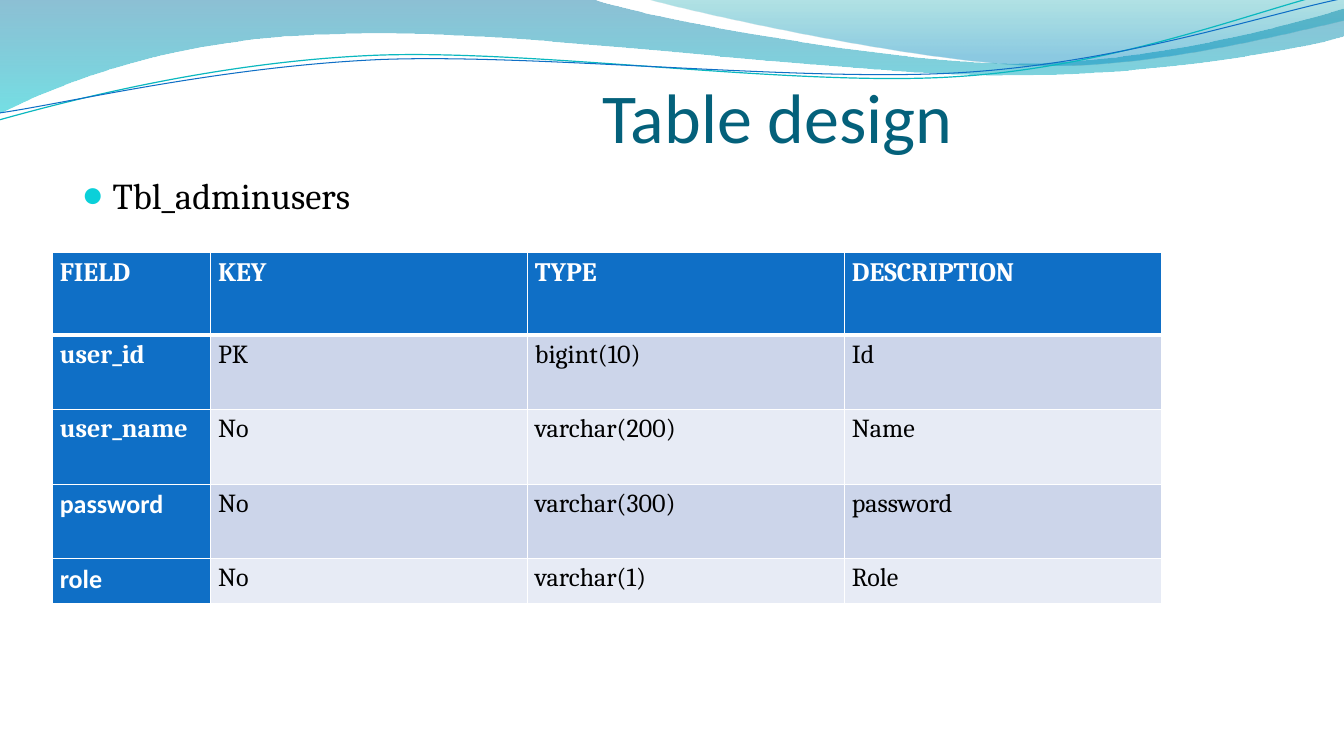
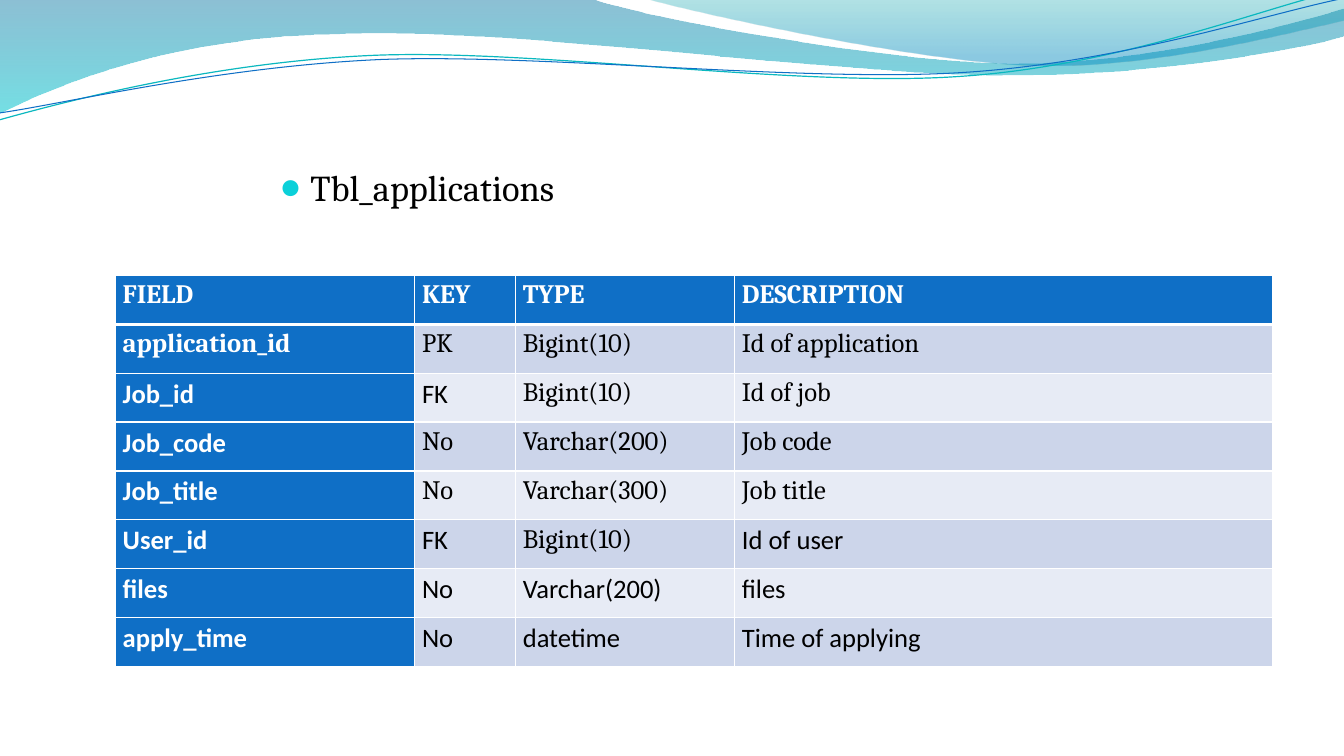
from lxml import etree
from pptx import Presentation
from pptx.dml.color import RGBColor
from pptx.enum.text import MSO_ANCHOR, PP_ALIGN
from pptx.oxml.ns import qn
from pptx.util import Pt

CENTER, LEFT = PP_ALIGN.CENTER, PP_ALIGN.LEFT
TOP, BOTTOM = MSO_ANCHOR.TOP, MSO_ANCHOR.BOTTOM
HEADING_FONT, BODY_FONT = "Calibri", "Cambria"
COLORS = {
    "title": "04617B", "text": "000000", "white": "FFFFFF", "bullet": "0BD0D9",
    "header": "0F6FC6", "band_dark": "CCD5EA", "band_light": "E7EBF5",
    "teal_line": "0AB8BF", "blue_line": "0F6FC6",
    "wave_top": "0074A1", "wave_bottom": "00C6CF",
    "crest_top": "00A1A9", "crest_bottom": "008BBF",
}

# Waves: start point, then straight (2 numbers) or cubic (6 numbers) pieces, in points.
# Gradient stops are (position, colour, opacity in percent).
WAVES = [
    {"start": (0, 0),
     "pieces": [(422.6, -0.7), (456.5, 12.2, 637.2, 45.4, 727.9, 45.4),
                (819.4, 45.4, 920.2, 18.7, 959.8, 6.5), (961.2, 25.9),
                (943.9, 31.7, 835.2, 54.7, 715.7, 54),
                (596.9, 54, 366.5, 20.2, 247, 24.5),
                (123.8, 25.9, 43.9, 59.8, -0.7, 81.4), (0, 0)],
     "gradient": [(0, "wave_top", 45), (1, "wave_bottom", 55)]},
    {"start": (460.1, -0.7),
     "pieces": [(488.9, 7.9, 654.5, 44.6, 738, 46.8),
                (821.5, 49.7, 923, 23, 959.8, 15.1), (959.8, 0), (460.1, -0.7)],
     "gradient": [(0, "crest_top", 30), (0.8, "crest_bottom", 45)]},
    {"start": (-0.7, 85.7),
     "pieces": [(46.1, 72.7, 151.9, 44.6, 265.7, 39.6),
                (379.4, 34.6, 568.8, 62.6, 684, 54.7),
                (799.2, 47.5, 901.4, 5.8, 958.3, -7.2)],
     "line": ("teal_line", 0.85)},
    {"start": (0, 80.6),
     "pieces": [(45.4, 74.2, 157, 47.5, 272.2, 42.5),
                (386.6, 38.2, 573.1, 59, 687.6, 51.8),
                (802.8, 44.6, 903.6, 10.1, 960.5, -1.4)],
     "line": ("blue_line", 0.75)},
]

# Each row: its four texts and the columns set in the heading font
SLIDES = [
    {"title": "Table design",
     "table_name": "Tbl_adminusers", "name_box": (51.8, 120.2, 854.6, 427),
     "corner": (37.5, 180.5), "columns": [113.1, 226.4, 226.4, 226.4],
     "heights": [59, 53.2, 53.2, 53.2, 32], "size": 18.6,
     "rows": [(("user_id", "PK", "bigint(10)", "Id"), ()),
              (("user_name", "No", "varchar(200)", "Name"), ()),
              (("password", "No", "varchar(300)", "password"), (0,)),
              (("role", "No", "varchar(1)", "Role"), (0,))]},
    {"title": None,
     "table_name": "Tbl_applications", "name_box": (193, 114.5, 702, 297.4),
     "corner": (82.5, 196.8), "columns": [213.8, 72, 156.5, 384.5],
     "heights": [34.9] * 8, "size": 19,
     "rows": [(("application_id", "PK", "Bigint(10)", "Id of application"), ()),
              (("Job_id", "FK", "Bigint(10)", "Id of job"), (0, 1)),
              (("Job_code", "No", "Varchar(200)", "Job code"), (0,)),
              (("Job_title", "No", "Varchar(300)", "Job title"), (0,)),
              (("User_id", "FK", "Bigint(10)", "Id of user"), (0, 1, 3)),
              (("files", "No", "Varchar(200)", "files"), (0, 1, 2, 3)),
              (("apply_time", "No", "datetime", "Time of applying"), (0, 1, 2, 3))]},
]
HEADER_ROW = (("FIELD", "KEY", "TYPE", "DESCRIPTION"), ())


def rgb(name):
    return RGBColor.from_string(COLORS[name])


def write(frame, text, font_name, size, color, bold=False, align=LEFT):
    """Fill a text frame with one formatted paragraph and return it."""
    frame.word_wrap = True
    paragraph = frame.paragraphs[0]
    paragraph.text = text
    paragraph.alignment = align
    font = paragraph.runs[0].font
    font.name, font.size, font.bold = font_name, Pt(size), bold
    font.color.rgb = rgb(color)
    return paragraph


prs = Presentation()
prs.slide_width, prs.slide_height = Pt(960), Pt(540)

for content in SLIDES:
    slide = prs.slides.add_slide(prs.slide_layouts[6])

    # Wave band across the top
    for wave in WAVES:
        start_x, start_y = wave["start"]
        builder = slide.shapes.build_freeform(Pt(start_x), Pt(start_y))
        points = [(Pt(x), Pt(y)) for piece in wave["pieces"]
                  for x, y in zip(piece[::2], piece[1::2])]
        builder.add_line_segments(points, close="gradient" in wave)
        ribbon = builder.convert_to_shape()
        ribbon.shadow.inherit = False

        # Turn each cubic piece's three line points into one curve
        segments = iter(ribbon._element.xpath(".//a:lnTo"))
        for piece in wave["pieces"]:
            first = next(segments)
            if len(piece) == 6:
                curve = etree.Element(qn("a:cubicBezTo"))
                first.addprevious(curve)
                for segment in (first, next(segments), next(segments)):
                    curve.append(segment[0])
                    segment.getparent().remove(segment)

        if "line" in wave:
            color, width = wave["line"]
            ribbon.fill.background()
            ribbon.line.color.rgb = rgb(color)
            ribbon.line.width = Pt(width)
            continue
        ribbon.line.fill.background()
        ribbon.fill.gradient()
        ribbon.fill.gradient_angle = 270
        for stop, (position, color, opacity) in zip(ribbon.fill.gradient_stops, wave["gradient"]):
            stop.position = position
            stop.color.rgb = rgb(color)
        tints = ribbon._element.xpath(".//a:gs/a:srgbClr")
        for tint, (position, color, opacity) in zip(tints, wave["gradient"]):
            etree.SubElement(tint, qn("a:alpha"), val=str(opacity * 1000))

    # Title
    if content["title"]:
        title = slide.shapes.add_textbox(Pt(204.5), Pt(49), Pt(702), Pt(63.4)).text_frame
        title.margin_left = title.margin_right = title.margin_bottom = 0
        title.vertical_anchor = BOTTOM
        write(title, content["title"], HEADING_FONT, 50, "title", align=CENTER)

    # Bulleted table name
    name_frame = slide.shapes.add_textbox(*map(Pt, content["name_box"])).text_frame
    name_line = write(name_frame, content["table_name"], BODY_FONT, 26, "text")
    props = name_line._p.get_or_add_pPr()
    props.set("marL", str(Pt(21.6)))
    props.set("indent", str(-Pt(21.6)))
    bullet_color = etree.SubElement(props, qn("a:buClr"))
    etree.SubElement(bullet_color, qn("a:srgbClr"), val=COLORS["bullet"])
    etree.SubElement(props, qn("a:buSzPct"), val="95000")
    etree.SubElement(props, qn("a:buFont"), typeface=HEADING_FONT)
    etree.SubElement(props, qn("a:buChar"), char="●")

    # Field table
    rows = [HEADER_ROW] + content["rows"]
    columns, heights = content["columns"], content["heights"]
    left, top = content["corner"]
    fields = slide.shapes.add_table(len(rows), len(columns), Pt(left), Pt(top),
                                    Pt(sum(columns)), Pt(sum(heights))).table
    fields.horz_banding = fields.first_row = False
    for column, width in zip(fields.columns, columns):
        column.width = Pt(width)
    for row, height in zip(fields.rows, heights):
        row.height = Pt(height)

    for r, (texts, heading_columns) in enumerate(rows):
        band = "band_dark" if r % 2 else "band_light"
        for c, text in enumerate(texts):
            cell = fields.cell(r, c)
            is_label = r == 0 or c == 0
            cell.margin_left = cell.margin_right = Pt(5.2)
            cell.margin_top = cell.margin_bottom = 0
            cell.vertical_anchor = TOP
            line = write(cell.text_frame, text,
                         HEADING_FONT if c in heading_columns else BODY_FONT,
                         content["size"] if r else 19,
                         "white" if is_label else "text", bold=is_label)
            line.line_spacing = 1.15

            # White borders, thick under the header
            for side in ("lnL", "lnR", "lnT", "lnB"):
                thick = (r, side) in ((0, "lnB"), (1, "lnT"))
                border = etree.SubElement(cell._tc.get_or_add_tcPr(), qn("a:" + side),
                                          w=str(Pt(3 if thick else 1)))
                paint = etree.SubElement(border, qn("a:solidFill"))
                etree.SubElement(paint, qn("a:srgbClr"), val=COLORS["white"])
            cell.fill.solid()
            cell.fill.fore_color.rgb = rgb("header" if is_label else band)

prs.save("out.pptx")
